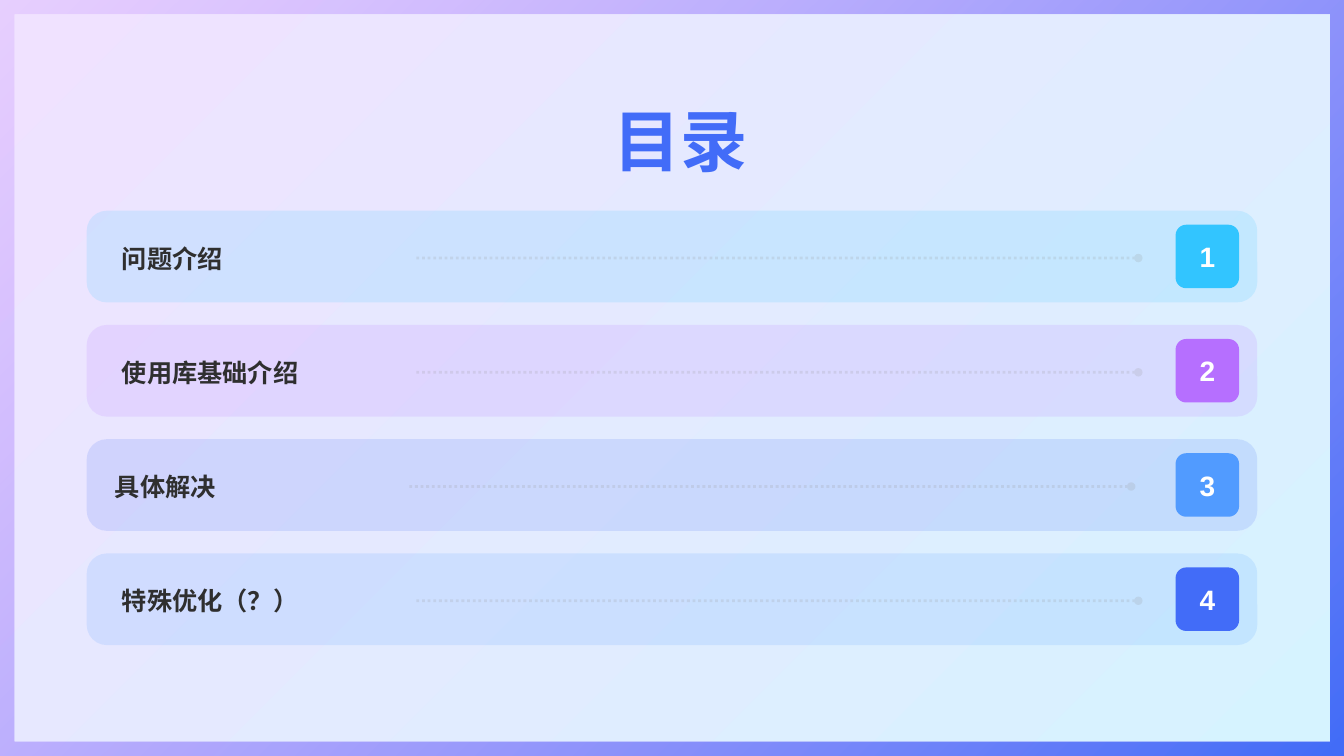
from lxml.etree import SubElement
from pptx import Presentation
from pptx.dml.color import RGBColor
from pptx.enum.dml import MSO_LINE
from pptx.enum.shapes import MSO_CONNECTOR, MSO_SHAPE
from pptx.enum.text import MSO_ANCHOR, PP_ALIGN
from pptx.oxml.ns import qn
from pptx.util import Inches, Pt

theme = {
    "font": "Arial",
    "title": 48, "label": 18, "badge": 20,
    "cyan": "32C5FF", "violet": "B66FFF", "sky": "519BFF", "blue": "426CF8",
    "ink": "2F2F2F", "white": "FFFFFF", "dots": "979797",
    "pale": ("F0E2FF", "D6F3FF"),
}


def fade(fill, percent):
    color = fill.find(".//" + qn("a:srgbClr"))
    SubElement(color, qn("a:alpha"), val=str(percent * 1000))


def write(shape, text, size, color, align, anchor):
    frame = shape.text_frame
    frame.text = text
    frame.word_wrap = True
    frame.vertical_anchor = anchor
    frame.paragraphs[0].alignment = align
    font = frame.paragraphs[0].runs[0].font
    font.name = theme["font"]
    font.size = Pt(theme[size])
    font.bold = True
    font.color.rgb = RGBColor.from_string(theme[color])


deck = Presentation()
deck.slide_width, deck.slide_height = Inches(13.33), Inches(7.5)
slide = deck.slides.add_slide(deck.slide_layouts[6])
shapes = slide.shapes

back = slide.background.fill
back.gradient()
back.gradient_angle = 315
for stop, place, color in zip(back.gradient_stops, (0, 1), theme["pale"]):
    stop.position = place
    stop.color.rgb = RGBColor.from_string(color)

rows = [
    ("问题介绍", "cyan", "cyan", 0),
    ("使用库基础介绍", "violet", "violet", 0),
    ("具体解决", "blue", "sky", -0.07),
    ("特殊优化（？）", "sky", "blue", 0),
]
for index, (topic, tint, tone, shift) in enumerate(rows):
    top = 2.09 + index * 3.4 / 3

    bar = shapes.add_shape(MSO_SHAPE.ROUNDED_RECTANGLE, Inches(0.86), Inches(top),
                           Inches(11.61), Inches(0.91))
    bar.adjustments[0] = 0.22
    badge = shapes.add_shape(MSO_SHAPE.ROUNDED_RECTANGLE, Inches(11.66), Inches(top + 0.14),
                             Inches(0.63), Inches(0.63))
    for box, color in ((bar, tint), (badge, tone)):
        box.shadow.inherit = False
        box.fill.solid()
        box.fill.fore_color.rgb = RGBColor.from_string(theme[color])
        box.line.fill.background()
    fade(bar.element.spPr.find(qn("a:solidFill")), 15)
    write(badge, str(index + 1), "badge", "white", PP_ALIGN.CENTER, MSO_ANCHOR.MIDDLE)

    label = shapes.add_textbox(Inches(1.11 + shift), Inches(top + 0.25), Inches(3.02), Inches(0.44))
    write(label, topic, "label", "ink", PP_ALIGN.LEFT, MSO_ANCHOR.MIDDLE)

    level = Inches(top + 0.47)
    guide = shapes.add_connector(MSO_CONNECTOR.STRAIGHT, Inches(4.13 + shift), level,
                                 Inches(11.29 + shift), level)
    guide.line.width = Pt(2)
    guide.line.color.rgb = RGBColor.from_string(theme["dots"])
    guide.line.dash_style = MSO_LINE.ROUND_DOT
    stroke = guide.line._get_or_add_ln()
    fade(stroke, 20)
    SubElement(stroke, qn("a:tailEnd"), type="oval")
    SubElement(guide.element.spPr, qn("a:effectLst"))

title = shapes.add_textbox(Inches(0.81), Inches(0.81), Inches(11.88), Inches(1.02))
write(title, "目录", "title", "blue", PP_ALIGN.CENTER, MSO_ANCHOR.BOTTOM)

border = shapes.add_shape(MSO_SHAPE.FRAME, 0, 0, deck.slide_width, deck.slide_height)
border.adjustments[0] = 0.02
border.shadow.inherit = False
border.line.fill.background()
border.fill.gradient()
border.fill.gradient_angle = 135
for stop, place, color in zip(border.fill.gradient_stops, (0, 1), ("blue", "violet")):
    stop.position = place
    stop.color.rgb = RGBColor.from_string(theme[color])
fade(border.element.spPr.findall(".//" + qn("a:gs"))[1], 16)

deck.save("out.pptx")
